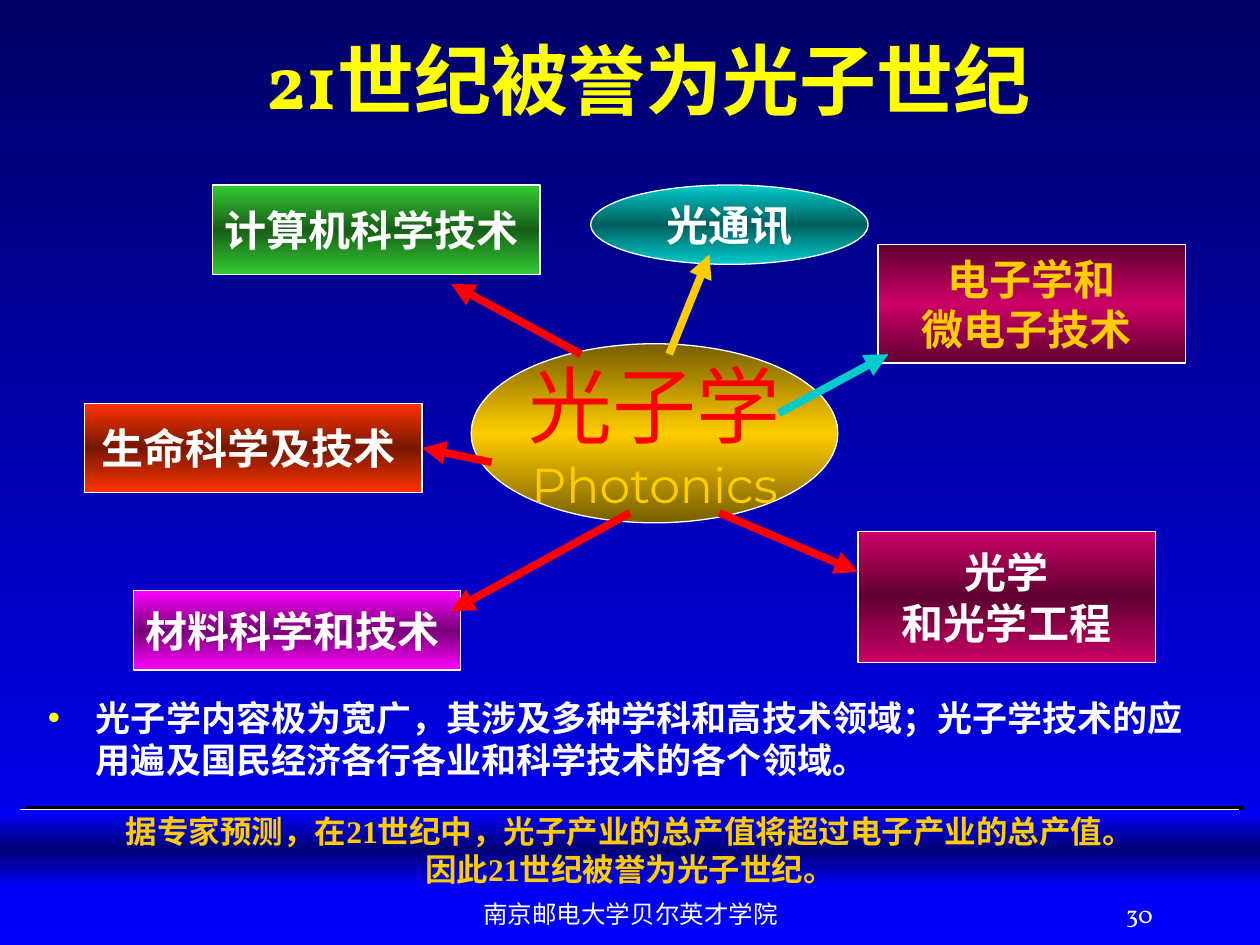
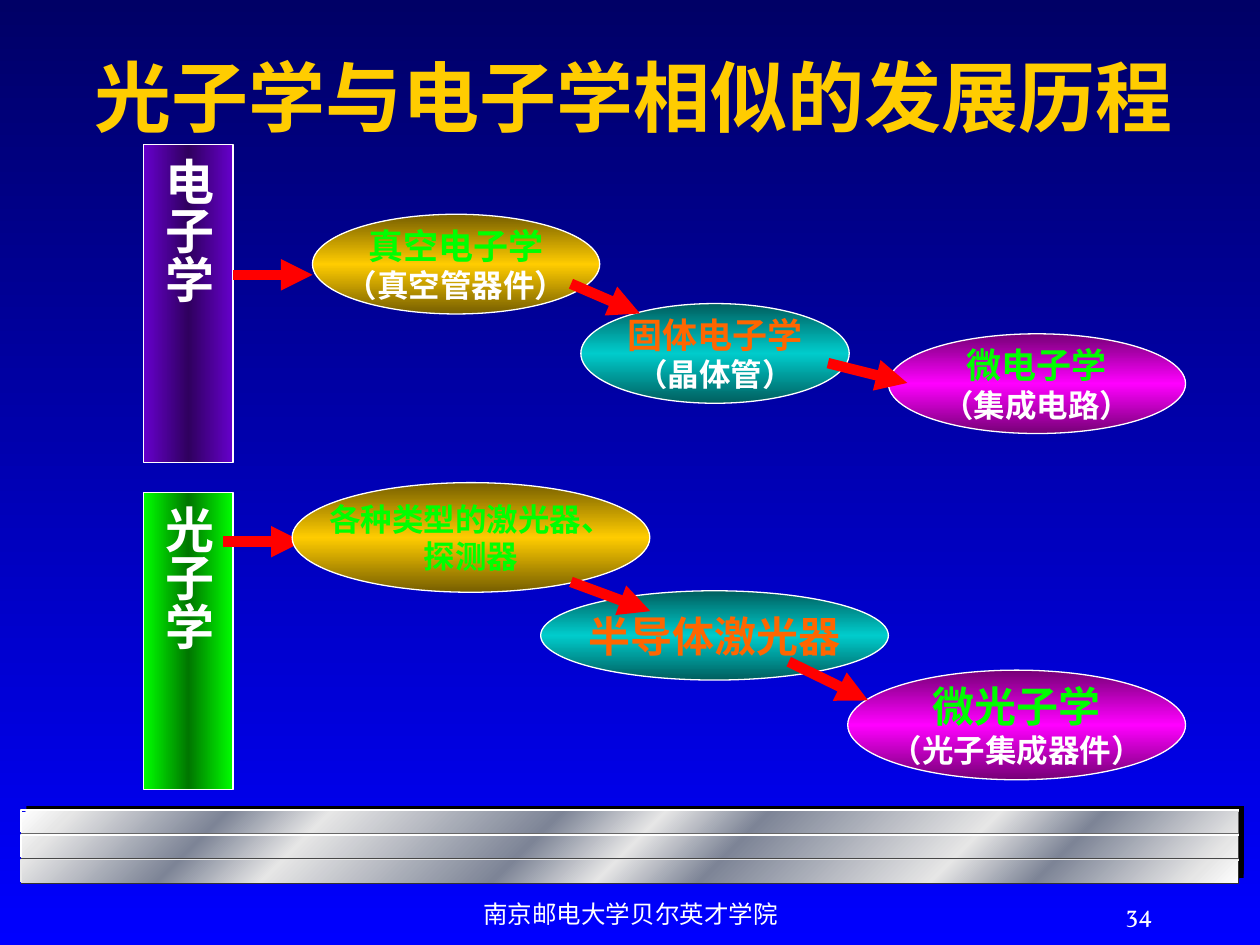
from copy import deepcopy

from lxml import etree
from pptx import Presentation
from pptx.dml.color import RGBColor
from pptx.enum.shapes import MSO_CONNECTOR, MSO_SHAPE
from pptx.enum.text import MSO_ANCHOR, MSO_AUTO_SIZE, PP_ALIGN
from pptx.oxml.ns import qn
from pptx.util import Cm, Pt

RECT, OVAL = MSO_SHAPE.RECTANGLE, MSO_SHAPE.OVAL
STRAIGHT = MSO_CONNECTOR.STRAIGHT
CENTER, RIGHT = PP_ALIGN.CENTER, PP_ALIGN.RIGHT
MIDDLE, NO_FIT = MSO_ANCHOR.MIDDLE, MSO_AUTO_SIZE.NONE

SERIF, HEAD, SANS = "Times New Roman", "Vollkorn", "Montserrat"
C = {
    "white": "FFFFFF", "yellow": "FFFF00", "gold": "FFCC00", "red": "FF0000",
    "crimson": "CC0066", "magenta": "FF00FF", "leaf": "33CC33", "flame": "FF3300",
    "teal": "00CCCC", "blue": "0000FF", "violet": "6600CC", "lime": "00FF00",
    "orange": "FF6600", "navy": "000066", "silver": "E6E6E6", "steel": "7D8496",
    "shadow": "000000", "light": "E8E8E8", "edge1": "676767", "edge2": "474747",
    "edge3": "333333",
}
# Every gradient runs between a colour and its 46 % shade
for name in ("gold", "crimson", "magenta", "leaf", "flame", "teal", "blue", "violet", "lime"):
    C["dark " + name] = "".join(f"{int(int(C[name][i:i + 2], 16) * 0.463):02X}" for i in (0, 2, 4))
C = {name: RGBColor.from_string(value) for name, value in C.items()}


def add_box(s, kind, box, stops, angle=90, lines=(), outline=True):
    """Gradient shape with centred text; lines are (text, size, colour[, font, bold])."""
    sp = s.shapes.add_shape(kind, *map(Cm, box))
    sp.shadow.inherit = False
    sp.fill.gradient()
    sp.fill.gradient_angle = (360 - angle) % 360
    gs_list = sp._element.spPr.find(".//" + qn("a:gsLst"))
    for _ in stops[2:]:
        gs_list.append(deepcopy(gs_list[0]))
    for stop, (pos, colour) in zip(sp.fill.gradient_stops, stops):
        stop.position = pos / 100
        stop.color.rgb = C[colour]
    if outline:
        sp.line.color.rgb = C["white"]
        sp.line.width = Pt(0.75)
    else:
        sp.line.fill.background()
    tf = sp.text_frame
    tf.word_wrap = False
    tf.vertical_anchor = MIDDLE
    for i, (text, size, colour, *style) in enumerate(lines):
        p = tf.add_paragraph() if i else tf.paragraphs[0]
        p.text = text
        p.alignment = CENTER
        font = p.runs[0].font
        font.name, font.bold = style or (SERIF, True)
        font.size = Pt(size)
        font.color.rgb = C[colour]
    return sp


def add_arrow(s, ends, colour, width):
    cx = s.shapes.add_connector(STRAIGHT, *map(Cm, ends))
    cx.line.color.rgb = C[colour]
    cx.line.width = Pt(width)
    spPr = cx._element.spPr
    etree.SubElement(spPr.find(qn("a:ln")), qn("a:tailEnd"), type="triangle")
    etree.SubElement(spPr, qn("a:effectLst"))
    return cx


prs = Presentation()
prs.slide_width, prs.slide_height = Cm(25.4), Cm(19.05)

# Shared background
bg = prs.slide_master.background.fill
bg.gradient()
bg.gradient_angle = 270
for stop, colour in zip(bg.gradient_stops, ("navy", "blue")):
    stop.color.rgb = C[colour]

# Shared parts: title, metal band, footer and page number
METAL = [(0, "white"), (4, "silver"), (16, "steel"), (24, "silver"), (42, "steel"), (50, "silver"),
         (58, "steel"), (76, "silver"), (84, "steel"), (96, "silver"), (100, "white")]
LEFT, END, ROW = 0.43, 24.97, 0.5
pages = [
    (1, "21世纪被誉为光子世纪", "yellow", (2.29, 0, 21.59, 3.18), "30"),
    (5, "光子学与电子学相似的发展历程", "gold", (1.09, 0.33, 23.39, 3.18), "34"),
]
for layout, title, colour, box, number in pages:
    s = prs.slides.add_slide(prs.slide_layouts[layout])
    sp = s.shapes.title
    sp.left, sp.top, sp.width, sp.height = map(Cm, box)
    tf = sp.text_frame
    tf.text = title
    tf.auto_size = NO_FIT
    tf.vertical_anchor = MIDDLE
    p = tf.paragraphs[0]
    p.alignment = CENTER
    font = p.runs[0].font
    font.name, font.size, font.bold = HEAD, Pt(44), True
    font.color.rgb = C[colour]

    band = add_box(s, RECT, (LEFT, 16.36, 24.54, 1.45), METAL, 45, outline=False)
    shadow = etree.SubElement(band._element.spPr.find(qn("a:effectLst")), qn("a:outerShdw"),
                              dist=str(Pt(4.2)), dir="18900000", algn="ctr", rotWithShape="0")
    etree.SubElement(shadow, qn("a:srgbClr"), val=str(C["shadow"]))

    # Bevel lines: light on top and left, dark on right and bottom of each row
    bevels = [("white", "edge1"), ("white", "edge2"), ("light", "edge3")]
    for i, (light, dark) in enumerate(bevels):
        top = 16.33 + i * ROW
        low = top + 0.45
        for edge, points in ((light, [(LEFT, low), (LEFT, top), (END, top)]),
                             (dark, [(END, top + 0.03), (END, low + 0.03), (LEFT, low + 0.03)])):
            points = [(Cm(x), Cm(y)) for x, y in points]
            fb = s.shapes.build_freeform(*points[0])
            fb.add_line_segments(points[1:], close=False)
            sp = fb.convert_to_shape()
            sp.shadow.inherit = False
            sp.fill.background()
            sp.line.color.rgb = C[edge]
            sp.line.width = Pt(1)

    for text, x, w, align in (("南京邮电大学贝尔英才学院", 8.69, 8.05, CENTER),
                              (number, 18.21, 5.28, RIGHT)):
        tf = s.shapes.add_textbox(Cm(x), Cm(17.78), Cm(w), Cm(1.27)).text_frame
        tf.word_wrap = True
        tf.vertical_anchor = MIDDLE
        tf.text = text
        p = tf.paragraphs[0]
        p.alignment = align
        font = p.runs[0].font
        font.name, font.size = HEAD, Pt(14)
        font.color.rgb = C["white"]

# Slide 1: body text
s = prs.slides[0]
sp = s.placeholders[1]
sp.left, sp.top, sp.width, sp.height = map(Cm, (0.71, 13.92, 23.8, 2.59))
tf = sp.text_frame
tf.text = "光子学内容极为宽广，其涉及多种学科和高技术领域；光子学技术的应用遍及国民经济各行各业和科学技术的各个领域。"
tf.auto_size = NO_FIT
p = tf.paragraphs[0]
pPr = p._p.get_or_add_pPr()
pPr.set("marL", str(Cm(0.97)))
pPr.set("indent", str(-Cm(0.97)))
etree.SubElement(etree.SubElement(pPr, qn("a:buClr")), qn("a:srgbClr"), val=str(C["yellow"]))
etree.SubElement(pPr, qn("a:buChar"), char="•")
p.space_before = Pt(0)
font = p.runs[0].font
font.name, font.size, font.bold = HEAD, Pt(20), True
font.color.rgb = C["white"]

# Slide 1: photonics and its neighbouring fields
fields = [
    (OVAL, (9.5, 6.93, 7.39, 3.61), "dark gold", "gold",
     [("光子学", 48, "red", SERIF, False), ("Photonics", 28, "gold", SANS, False)]),
    (RECT, (17.3, 10.72, 5.99, 2.64), "crimson", "dark crimson",
     [("光学", 24, "white"), ("和光学工程", 24, "white")]),
    (RECT, (17.7, 4.93, 6.2, 2.39), "dark crimson", "crimson",
     [("电子学和", 24, "gold"), ("微电子技术 ", 24, "gold")]),
    (RECT, (2.69, 11.91, 6.6, 1.6), "magenta", "dark magenta", [("材料科学和技术 ", 24, "white")]),
    (RECT, (4.29, 3.73, 6.6, 1.8), "leaf", "dark leaf", [("计算机科学技术 ", 24, "white")]),
    (OVAL, (11.91, 3.73, 5.59, 1.6), "teal", "dark teal", [("光通讯", 24, "white")]),
    (RECT, (1.7, 8.13, 6.81, 1.8), "flame", "dark flame", [("生命科学及技术 ", 24, "white")]),
]
for kind, box, edge, middle, lines in fields:
    life_science = add_box(s, kind, box, [(0, edge), (50, middle), (100, edge)], lines=lines)

for colour, ends in (("teal", (15.7, 8.33, 17.91, 7.14)), ("red", (14.5, 10.34, 17.3, 11.53)),
                     ("red", (12.7, 10.34, 9.09, 12.32)), ("red", (11.71, 7.14, 9.09, 5.72)),
                     ("gold", (13.49, 7.14, 14.3, 5.13))):
    add_arrow(s, ends, colour, 4.5)
add_arrow(s, (9.91, 9.32, 8.51, 9.03), "red", 4.5).end_connect(life_science, 3)

# Slide 1: forecast strip over the band
add_box(s, RECT, (0, 16.33, 25.4, 1.6), [(0, "blue"), (50, "dark blue"), (100, "blue")],
        lines=[("据专家预测，在21世纪中，光子产业的总产值将超过电子产业的总产值。", 18, "gold"),
               ("因此21世纪被誉为光子世纪。", 18, "gold")], outline=False)

# Slide 2: vertical bars, each with its first arrow
s = prs.slides[1]
for text, colour, top, height, ends in (
        ("电子学", "violet", 2.92, 6.4, (4.7, 5.54, 6.3, 5.54)),
        ("光子学", "lime", 9.93, 5.99, (4.5, 10.92, 6.1, 10.92))):
    sp = add_box(s, RECT, (2.9, top, 1.8, height),
                 [(0, colour), (50, "dark " + colour), (100, colour)], 0, [(text, 28, "white")])
    sp.text_frame._txBody.bodyPr.set("vert", "eaVert")
    add_arrow(s, ends, "red", 6)

# Slide 2: stages of development
stages = [
    ((6.3, 4.32, 5.79, 2.01), "gold", [("真空电子学", 20, "lime"), ("（真空管器件）", 18, "white")]),
    ((11.71, 6.12, 5.41, 2.01), "teal", [("固体电子学", 20, "orange"), ("（晶体管）", 18, "white")]),
    ((17.91, 6.73, 5.99, 2.01), "magenta", [("微电子学", 20, "lime"), ("（集成电路）", 18, "white")]),
    ((5.89, 9.73, 7.21, 2.21), "gold", [("各种类型的激光器、", 18, "lime"), ("探测器", 18, "lime")]),
    ((10.9, 11.91, 7.01, 1.8), "teal", [("半导体激光器", 24, "orange")]),
    ((17.09, 13.51, 6.81, 2.21), "magenta", [("微光子学", 24, "lime"), ("（光子集成器件）", 18, "white")]),
]
for box, colour, lines in stages:
    dark = "dark " + colour
    add_box(s, OVAL, box, [(0, dark), (50, colour), (100, dark)], lines=lines)

for ends in ((11.51, 5.72, 12.9, 6.32), (16.69, 7.32, 18.29, 7.72),
             (11.51, 11.73, 13.11, 12.32), (15.9, 13.34, 17.5, 14.12)):
    add_arrow(s, ends, "red", 6)

# Chinese as the language of all text
for s in prs.slides:
    for r in s.shapes._spTree.iter(qn("a:r")):
        r.get_or_add_rPr().set("lang", "zh-CN")

prs.save("out.pptx")
